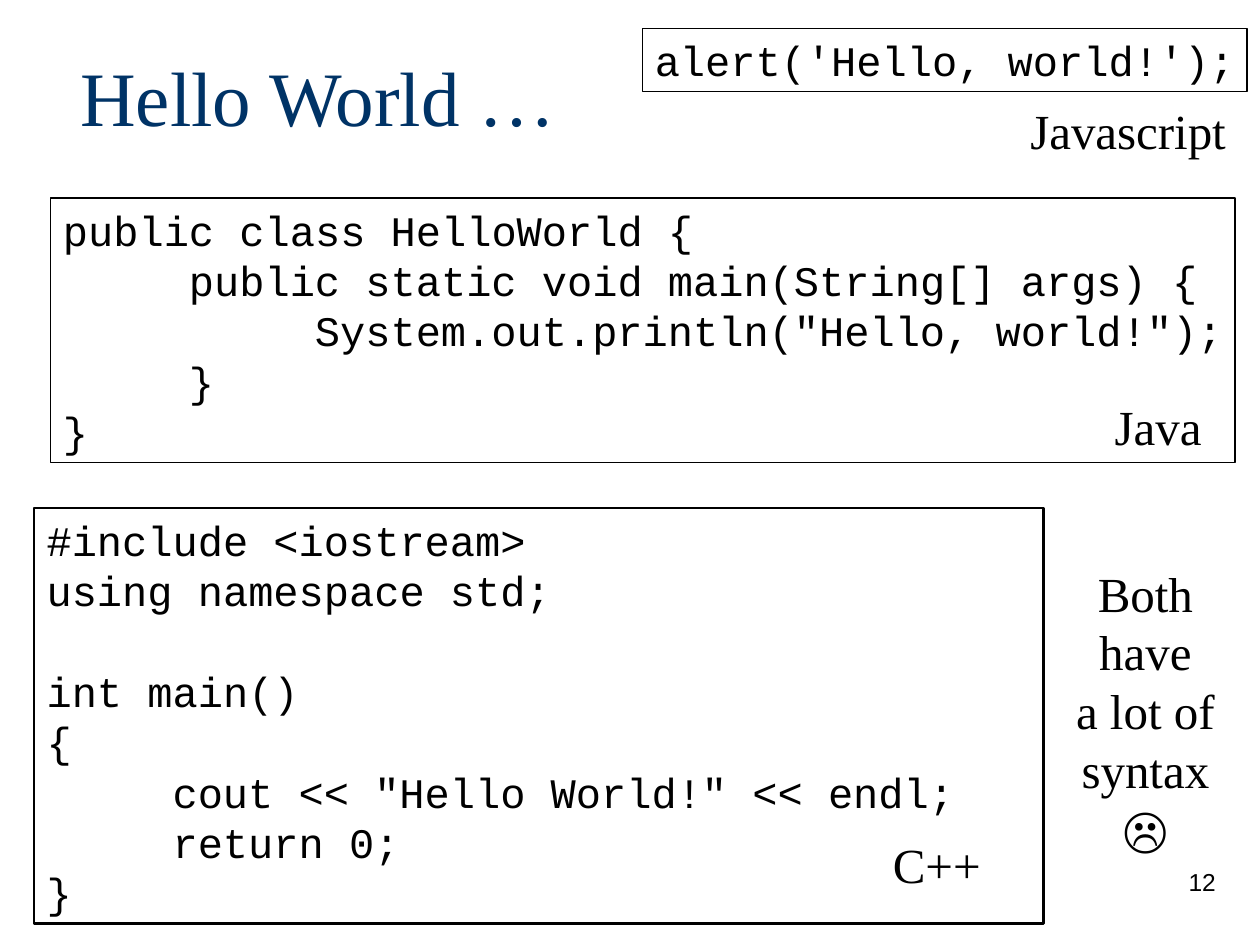
"""Build a slide that compares Hello World programs in three languages."""
from lxml import etree
from pptx import Presentation
from pptx.dml.color import RGBColor
from pptx.enum.shapes import MSO_SHAPE
from pptx.enum.text import MSO_ANCHOR, PP_ALIGN
from pptx.oxml.ns import qn
from pptx.util import Cm, Pt

RECT = MSO_SHAPE.RECTANGLE
TOP, MIDDLE = MSO_ANCHOR.TOP, MSO_ANCHOR.MIDDLE
LEFT, CENTER, RIGHT = PP_ALIGN.LEFT, PP_ALIGN.CENTER, PP_ALIGN.RIGHT
SERIF, SANS, MONO = "Times New Roman", "Arial", "Courier New"
BLACK, NAVY = "000000", "003366"
CODE_SIZE, LABEL_SIZE, LEADING = 24, 28, 1.2
TAB_STOPS = (2.54, 5.08)

JAVA = """public class HelloWorld {
\tpublic static void main(String[] args) {
\t\tSystem.out.println("Hello, world!");
\t}
}"""
CPP = """#include <iostream>
using namespace std;
int main()
{
\tcout << "Hello World!" << endl;
\treturn 0;
}"""
SCRIPT = "alert('Hello, world!');"

CODE_BOXES = [
    (JAVA, (1.02, 3.99, 23.88, 5.33), 0.75, TOP, False),
    (CPP, (0.69, 10.24, 20.35, 8.38), 1.5, MIDDLE, True),
    (SCRIPT, (12.95, 0.58, 12.19, 1.27), 0.75, TOP, False),
]
LABELS = [
    ("Java", (22.22, 7.87, 2.4, 1.45), LEFT),
    ("C++", (17.75, 16.69, 2.4, 1.45), LEFT),
    ("Javascript", (20.52, 1.9, 4.45, 1.45), LEFT),
    ("Both\nhave\na lot of\nsyntax\n☹", (21.44, 11.23, 3.3, 6.2), CENTER),
]


def rgb(color):
    return RGBColor.from_string(color)


def write(sp, text, font, size, color=BLACK, align=LEFT, anchor=TOP,
          wrap=True, leading=None):
    tf = sp.text_frame
    tf.word_wrap = wrap
    tf.vertical_anchor = anchor
    tf.text = text
    for p in tf.paragraphs:
        p.alignment = align
        if leading:
            p.line_spacing = Pt(size * leading)
        for r in p.runs:
            r.font.name = font
            r.font.size = Pt(size)
            r.font.color.rgb = rgb(color)
    return tf


def add_tabs(p):
    tabs = etree.SubElement(p._p.get_or_add_pPr(), qn("a:tabLst"))
    for stop in TAB_STOPS:
        etree.SubElement(tabs, qn("a:tab"), pos=str(Cm(stop)), algn="l")


def add_text(slide, box, *args, **kwargs):
    sp = slide.shapes.add_textbox(*map(Cm, box))
    return write(sp, *args, **kwargs)


def add_code(slide, text, box, width, anchor, wrap):
    sp = slide.shapes.add_shape(RECT, *map(Cm, box))
    sp.shadow.inherit = False
    sp.fill.background()
    sp.line.color.rgb = rgb(BLACK)
    sp.line.width = Pt(width)
    tf = write(sp, text, MONO, CODE_SIZE, anchor=anchor, wrap=wrap, leading=LEADING)
    for p in tf.paragraphs:
        if p.text == "int main()":
            p.space_before = Pt(CODE_SIZE * LEADING)
        add_tabs(p)


def main():
    prs = Presentation()
    prs.slide_width, prs.slide_height = Cm(25.4), Cm(19.05)
    s = prs.slides.add_slide(prs.slide_layouts[6])
    add_text(s, (1.37, 0.33, 10.52, 3.18), "Hello World …", SERIF, 44, NAVY,
             anchor=MIDDLE)
    for code in CODE_BOXES:
        add_code(s, *code)
    for text, box, align in LABELS:
        tf = add_text(s, box, text, SERIF, LABEL_SIZE, align=align, wrap=False,
                      leading=LEADING)
        for p in tf.paragraphs:
            if p.text == "☹":
                p.runs[0].font.name = SANS
    tf = add_text(s, (19.48, 17.35, 5.28, 1.27), "12", SANS, 14, align=RIGHT)
    tf.paragraphs[0].space_before = Pt(8.8)
    prs.save("out.pptx")


if __name__ == "__main__":
    main()
